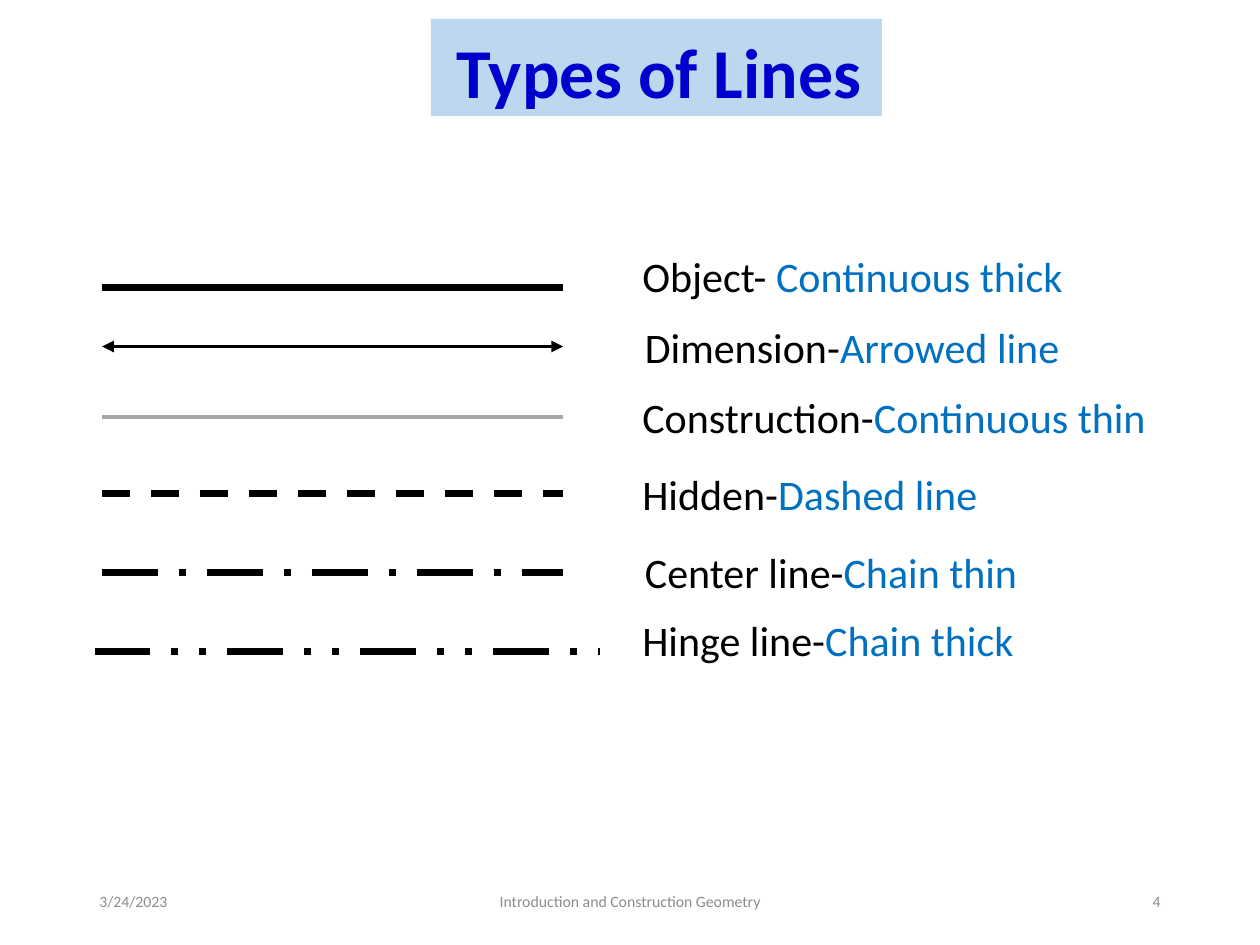
from lxml import etree
from pptx import Presentation
from pptx import util as u
from pptx.dml.color import RGBColor
from pptx.enum import dml, shapes, text
from pptx.oxml import ns

BLACK = RGBColor(0x00, 0x00, 0x00)
GREY = RGBColor(0xA6, 0xA6, 0xA6)
FOOTER_GREY = RGBColor(0x8C, 0x8C, 0x8C)
BLUE = RGBColor(0x00, 0x70, 0xC0)
TITLE_BLUE = RGBColor(0x00, 0x00, 0xCC)
PALE_BLUE = RGBColor(0xBD, 0xD7, 0xEE)
FONT = "Calibri"

DASH = dml.MSO_LINE.DASH
CHAIN = dml.MSO_LINE.LONG_DASH_DOT
DOUBLE_CHAIN = dml.MSO_LINE.DASH_DOT_DOT
SHORT, LONG = (0.81, 4.47), (0.75, 4.76)

LINE_TYPES = [
    ("Object- ", "Continuous thick", SHORT, 2.28, BLACK, 4, None, False, 5, 1.94),
    ("Dimension-", "Arrowed line", SHORT, 2.75, BLACK, 2.25, None, True, 5.02, 2.5),
    ("Construction-", "Continuous thin", SHORT, 3.31, GREY, 2.25, None, False, 5, 3.06),
    ("Hidden-", "Dashed line", SHORT, 3.92, BLACK, 4, DASH, False, 5, 3.67),
    ("Center line-", "Chain thin", SHORT, 4.54, BLACK, 4, CHAIN, False, 5.02, 4.29),
    ("Hinge line-", "Chain thick", LONG, 5.17, BLACK, 4, DOUBLE_CHAIN, False, 5, 4.83),
]
FOOTERS = [
    ("3/24/2023", 0.69, 2.25, text.PP_ALIGN.LEFT),
    ("Introduction and Construction Geometry", 3.31, 3.38, text.PP_ALIGN.CENTER),
    ("4", 7.06, 2.25, text.PP_ALIGN.RIGHT),
]


def style_font(font, size, colour):
    font.name = FONT
    font.size = u.Pt(size)
    font.color.rgb = colour


def add_text(slide, runs, left, top, width, height, size):
    box = slide.shapes.add_textbox(*map(u.Inches, (left, top, width, height)))
    box.text_frame.word_wrap = True
    paragraph = box.text_frame.paragraphs[0]
    for words, colour in runs:
        run = paragraph.add_run()
        run.text = words
        style_font(run.font, size, colour)
    return box.text_frame


def add_line(slide, span, y, colour, weight, dash, arrowed):
    start, end = span
    line = slide.shapes.add_connector(
        shapes.MSO_CONNECTOR.STRAIGHT, *map(u.Inches, (start, y, end, y)))
    line.line.color.rgb = colour
    line.line.width = u.Pt(weight)
    if dash:
        line.line.dash_style = dash
    properties = line._element.spPr
    if arrowed:
        for tip in ("a:headEnd", "a:tailEnd"):
            etree.SubElement(properties.find(ns.qn("a:ln")), ns.qn(tip), type="triangle")
    etree.SubElement(properties, ns.qn("a:effectLst"))


def add_title(slide):
    title = slide.shapes.title
    title.left, title.top, title.width, title.height = map(u.Inches, (3.42, 0.15, 3.58, 0.77))
    title.fill.solid()
    title.fill.fore_color.rgb = PALE_BLUE
    frame = title.text_frame
    frame.text = "Types of Lines"
    frame.auto_size = text.MSO_AUTO_SIZE.NONE
    frame.vertical_anchor = text.MSO_ANCHOR.TOP
    frame.margin_left = u.Inches(0.14)
    frame.margin_top = u.Inches(0.08)
    frame.margin_bottom = 0
    paragraph = frame.paragraphs[0]
    paragraph.alignment = text.PP_ALIGN.CENTER
    style_font(paragraph.runs[0].font, 40, TITLE_BLUE)
    paragraph.runs[0].font.bold = True


def main():
    deck = Presentation()
    deck.slide_width, deck.slide_height = u.Inches(10), u.Inches(7.5)
    slide = deck.slides.add_slide(deck.slide_layouts[5])
    add_title(slide)
    for purpose, style, span, y, colour, weight, dash, arrowed, left, top in LINE_TYPES:
        add_line(slide, span, y, colour, weight, dash, arrowed)
        add_text(slide, [(purpose, BLACK), (style, BLUE)], left, top, 4.6, 0.5, 24)
    for words, left, width, alignment in FOOTERS:
        frame = add_text(slide, [(words, FOOTER_GREY)], left, 6.95, width, 0.4, 9)
        frame.vertical_anchor = text.MSO_ANCHOR.MIDDLE
        frame.paragraphs[0].alignment = alignment
    deck.save("out.pptx")


if __name__ == "__main__":
    main()
